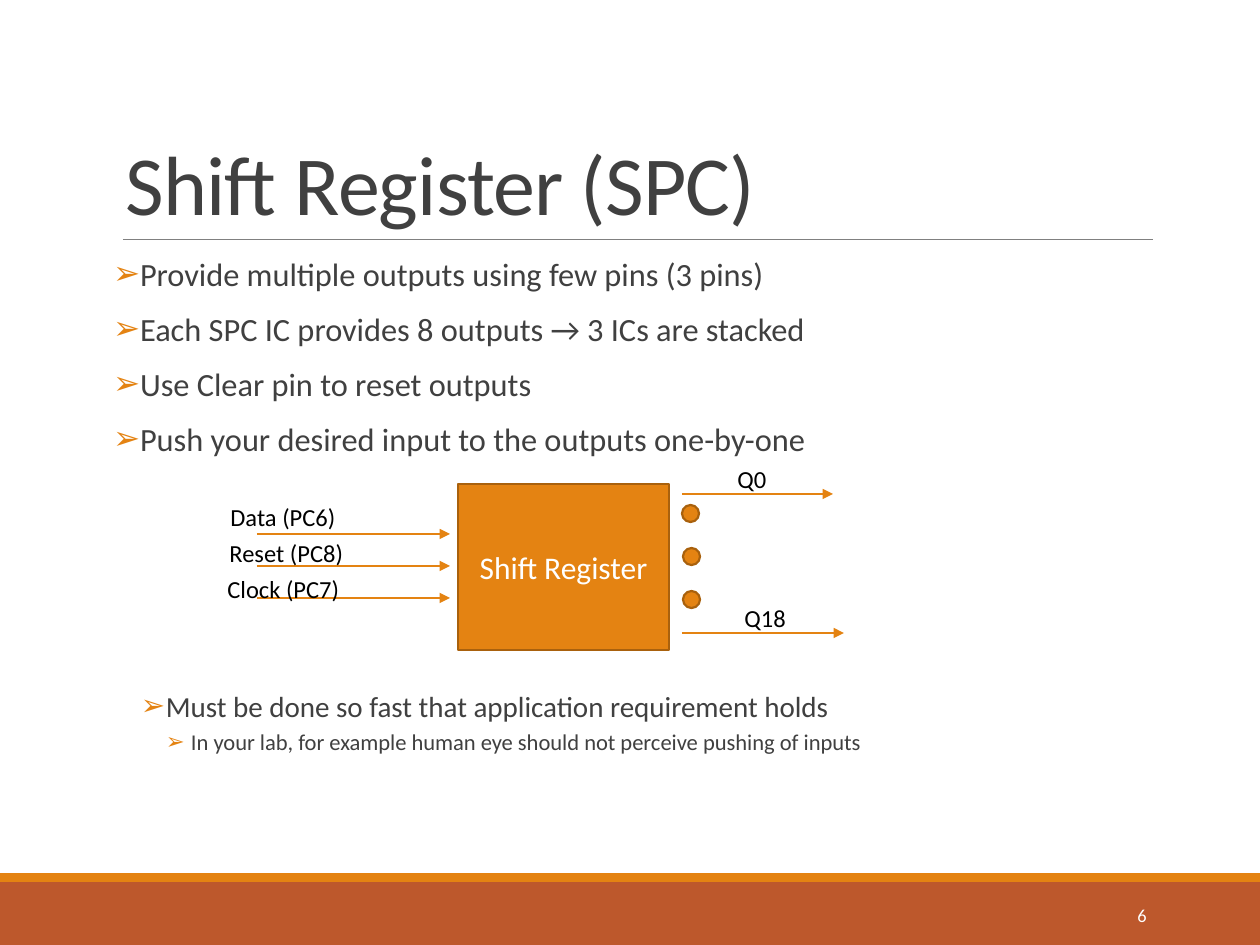
from lxml.etree import SubElement
from pptx import Presentation
from pptx.dml.color import RGBColor
from pptx.enum.shapes import MSO_CONNECTOR, MSO_SHAPE
from pptx.enum.text import MSO_ANCHOR, MSO_AUTO_SIZE, PP_ALIGN
from pptx.oxml.ns import qn
from pptx.util import Emu, Pt

SCALE = 914400 / 126
ORANGE, RUST, BROWN = "E48312", "BD582C", "A9610D"
DARK, GRAY, BLACK, WHITE = "404040", "808080", "000000", "FFFFFF"


def px(n):
    return Emu(round(n * SCALE))


def color(code):
    return RGBColor.from_string(code)


class Deck:
    """Holds the font and the slide being drawn."""

    font = "Calibri"
    # level: size, left margin px, hanging px, space before, space after
    levels = {0: (18.5, 13, 13, 11.7, 2), 1: (16.6, 53, 25, 2, 4), 2: (12.9, 78, 25, 2, 4)}

    def __init__(self):
        self.prs = Presentation()
        self.prs.slide_width, self.prs.slide_height = px(1260), px(945)
        self.slide = self.prs.slides.add_slide(self.prs.slide_layouts[1])
        self.shapes = self.slide.shapes

    def place(self, shape, x, y, w, h):
        shape.left, shape.top, shape.width, shape.height = map(px, (x, y, w, h))

    def add_text(self, para, text, size, hue):
        run = para.add_run()
        run.text = text
        run.font.name, run.font.size = self.font, Pt(size)
        run.font.color.rgb = color(hue)
        return run

    def title(self, text, *box):
        shape = self.shapes.title
        self.place(shape, *box)
        frame = shape.text_frame
        frame.vertical_anchor = MSO_ANCHOR.BOTTOM
        frame.auto_size = MSO_AUTO_SIZE.NONE
        para = frame.paragraphs[0]
        para.alignment, para.line_spacing = PP_ALIGN.LEFT, 0.85
        run = self.add_text(para, text, 48, DARK)
        run.font._element.set("spc", "-50")

    def bullet(self, para, left, hang):
        props = para._p.get_or_add_pPr()
        props.set("marL", str(px(left)))
        props.set("indent", str(-px(hang)))
        hue = SubElement(props, qn("a:buClr"))
        SubElement(hue, qn("a:srgbClr"), val=ORANGE)
        SubElement(props, qn("a:buChar"), char="➢")

    def body(self, items, *box):
        """Each item is level, text and the gap before it (None for the usual one)."""
        shape = self.shapes.placeholders[1]
        self.place(shape, *box)
        frame = shape.text_frame
        frame.margin_left = frame.margin_right = 0
        frame.vertical_anchor = MSO_ANCHOR.TOP
        frame.auto_size = MSO_AUTO_SIZE.NONE
        for i, (level, text, gap) in enumerate(items):
            para = frame.add_paragraph() if i else frame.paragraphs[0]
            size, left, hang, before, after = self.levels[level]
            para.level = level
            self.bullet(para, left, hang)
            para.alignment, para.line_spacing = PP_ALIGN.LEFT, 0.8
            para.space_before = Pt(before if gap is None else gap)
            para.space_after = Pt(after)
            self.add_text(para, text, size, DARK)

    def shape(self, kind, x, y, w, h, fill, edge=None, text=None):
        shape = self.shapes.add_shape(kind, *map(px, (x, y, w, h)))
        shape.shadow.inherit = False
        shape.fill.solid()
        shape.fill.fore_color.rgb = color(fill)
        if edge:
            shape.line.color.rgb = color(edge)
            shape.line.width = Pt(1.25)
        else:
            shape.line.fill.background()
        if text:
            frame = shape.text_frame
            frame.vertical_anchor = MSO_ANCHOR.MIDDLE
            frame.paragraphs[0].alignment = PP_ALIGN.CENTER
            self.add_text(frame.paragraphs[0], text, 18, WHITE)

    def line(self, x1, x2, y, hue=ORANGE, width=1, arrow=True):
        line = self.shapes.add_connector(MSO_CONNECTOR.STRAIGHT, *map(px, (x1, y, x2, y)))
        line.line.color.rgb = color(hue)
        line.line.width = Pt(width)
        if arrow:
            SubElement(line.line._get_or_add_ln(), qn("a:tailEnd"), type="triangle")
        SubElement(line._element.spPr, qn("a:effectLst"))

    def label(self, text, x, y, w, h=43, size=14, hue=BLACK, align=PP_ALIGN.LEFT):
        frame = self.shapes.add_textbox(*map(px, (x, y, w, h))).text_frame
        frame.word_wrap = True
        frame.vertical_anchor = MSO_ANCHOR.MIDDLE
        frame.paragraphs[0].alignment = align
        self.add_text(frame.paragraphs[0], text, size, hue)


def main():
    deck = Deck()
    rect, oval = MSO_SHAPE.RECTANGLE, MSO_SHAPE.OVAL
    deck.shape(rect, 0, 882, 1260, 63, RUST)
    deck.shape(rect, 0, 873, 1260, 9, ORANGE)
    deck.line(123, 1153, 239, GRAY, 0.5, arrow=False)
    deck.title("Shift Register (SPC)", 113, 39, 1040, 200)
    deck.label("6", 1023, 890, 136, 50, 10.5, WHITE, PP_ALIGN.RIGHT)
    deck.body([
        (0, "Provide multiple outputs using few pins (3 pins)", 0),
        (0, "Each SPC IC provides 8 outputs → 3 ICs are stacked", None),
        (0, "Use Clear pin to reset outputs", None),
        (0, "Push your desired input to the outputs one-by-one", None),
        (1, "Must be done so fast that application requirement holds", 133.5),
        (2, "In your lab, for example human eye should not perceive pushing of inputs", None),
    ], 113, 255, 1040, 554)

    deck.shape(rect, 458, 484, 211, 166, ORANGE, BROWN, "Shift Register")
    inputs = [("Data (PC6)", 218, 495, 159, 534),
              ("Reset (PC8)", 217, 531, 168, 566),
              ("Clock (PC7)", 215, 567, 199, 598)]
    for text, x, y, w, wire in inputs:
        deck.line(257, 450, wire)
        deck.label(text, x, y, w)
    outputs = [("Q0", 725, 457, 833, 494), ("Q18", 732, 596, 844, 633)]
    for text, x, y, end, wire in outputs:
        deck.line(682, end, wire)
        deck.label(text, x, y, 83)
    for x, y in [(682, 505), (683, 548), (683, 591)]:
        deck.shape(oval, x, y, 17, 17, ORANGE, BROWN)
    deck.prs.save("out.pptx")


if __name__ == "__main__":
    main()
